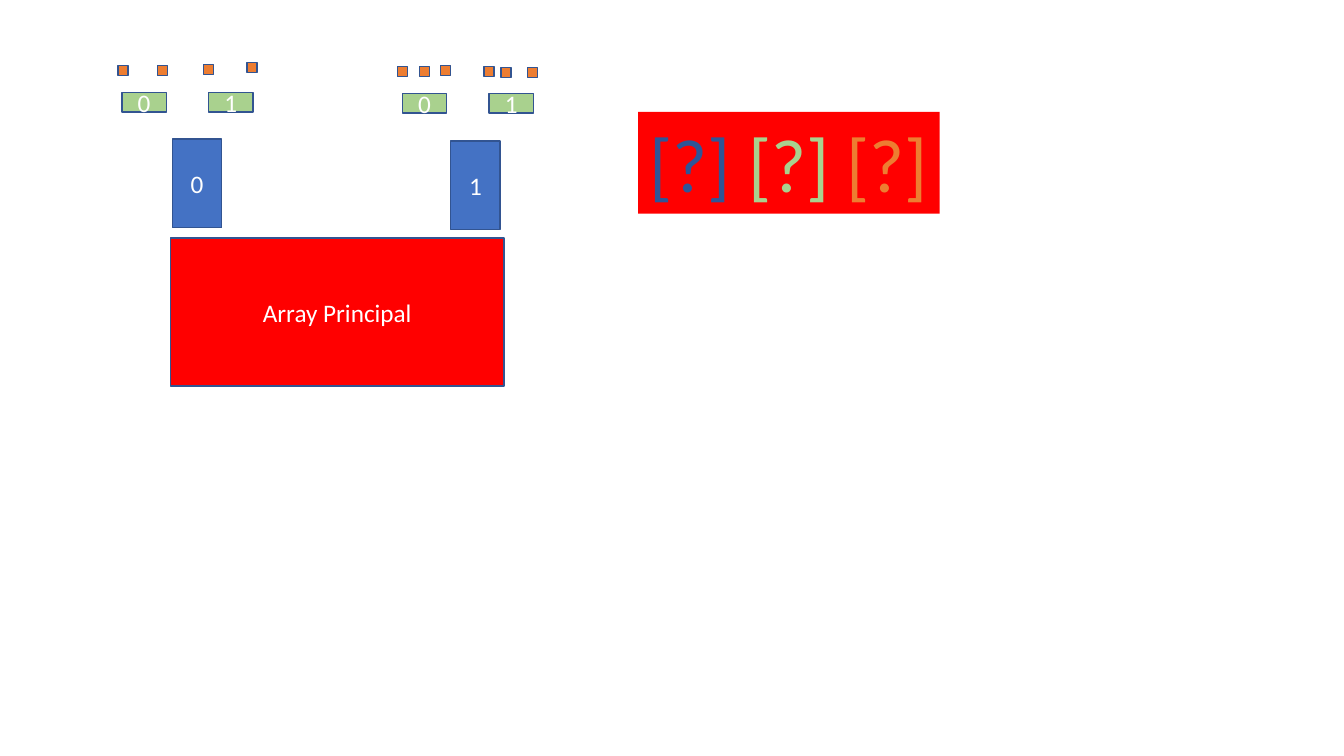
from pptx import Presentation
from pptx.dml.color import RGBColor
from pptx.enum import shapes, text
from pptx.util import Inches, Pt

FONT = "Calibri"
WHITE = RGBColor(0xFF, 0xFF, 0xFF)
RED = RGBColor(0xFF, 0x00, 0x00)
BLUE = RGBColor(0x44, 0x72, 0xC4)
DARK_BLUE = RGBColor(0x2F, 0x55, 0x97)
OUTLINE = RGBColor(0x32, 0x54, 0x91)
GREEN = RGBColor(0xA9, 0xD1, 0x8E)
ORANGE = RGBColor(0xED, 0x7D, 0x31)

# Left and top of each element, one list per half of the main array
FIRST_LEVEL = [(1.71, 1.38), (4.47, 1.4)]
SECOND_LEVEL = [[(1.21, 0.92), (2.07, 0.92)], [(3.99, 0.93), (4.85, 0.93)]]
VALUES = [
    [(1.17, 0.65), (1.56, 0.65), (2.02, 0.64), (2.45, 0.62)],
    [(3.94, 0.66), (4.16, 0.66), (4.37, 0.65), (4.8, 0.66), (4.97, 0.67), (5.23, 0.67)],
]


def format_run(run, size, color):
    run.font.name = FONT
    run.font.size = Pt(size)
    run.font.color.rgb = color


def add_box(slide, position, size, fill, label=""):
    """Add an outlined rectangle with an optional centred label."""
    box = slide.shapes.add_shape(
        shapes.MSO_SHAPE.RECTANGLE, *map(Inches, position + size))
    box.shadow.inherit = False
    box.fill.solid()
    box.fill.fore_color.rgb = fill
    box.line.color.rgb = OUTLINE
    box.line.width = Pt(1)
    if label:
        frame = box.text_frame
        frame.text = label
        frame.vertical_anchor = text.MSO_ANCHOR.MIDDLE
        paragraph = frame.paragraphs[0]
        paragraph.alignment = text.PP_ALIGN.CENTER
        format_run(paragraph.runs[0], 18, WHITE)


def add_index_notation(slide):
    """Add the red text box with one coloured index per array level."""
    box = slide.shapes.add_textbox(
        Inches(6.33), Inches(1.11), Inches(2.99), Inches(1.01))
    box.fill.solid()
    box.fill.fore_color.rgb = RED
    frame = box.text_frame
    frame.word_wrap = False
    frame.auto_size = text.MSO_AUTO_SIZE.SHAPE_TO_FIT_TEXT
    paragraph = frame.paragraphs[0]
    paragraph.alignment = text.PP_ALIGN.CENTER
    for label, color in [("[?] ", DARK_BLUE), ("[?] ", GREEN), ("[?]", ORANGE)]:
        run = paragraph.add_run()
        run.text = label
        format_run(run, 54, color)


def main():
    presentation = Presentation()
    presentation.slide_width = Inches(13.33)
    presentation.slide_height = Inches(7.5)
    slide = presentation.slides.add_slide(presentation.slide_layouts[6])

    add_box(slide, (1.69, 2.36), (3.31, 1.47), RED, "Array Principal")
    for index, position in enumerate(FIRST_LEVEL):
        add_box(slide, position, (0.49, 0.88), BLUE, str(index))
        for inner_index, inner_position in enumerate(SECOND_LEVEL[index]):
            add_box(slide, inner_position, (0.44, 0.19), GREEN, str(inner_index))
        for value_position in VALUES[index]:
            add_box(slide, value_position, (0.1, 0.1), ORANGE)
    add_index_notation(slide)

    presentation.save("out.pptx")


if __name__ == "__main__":
    main()
